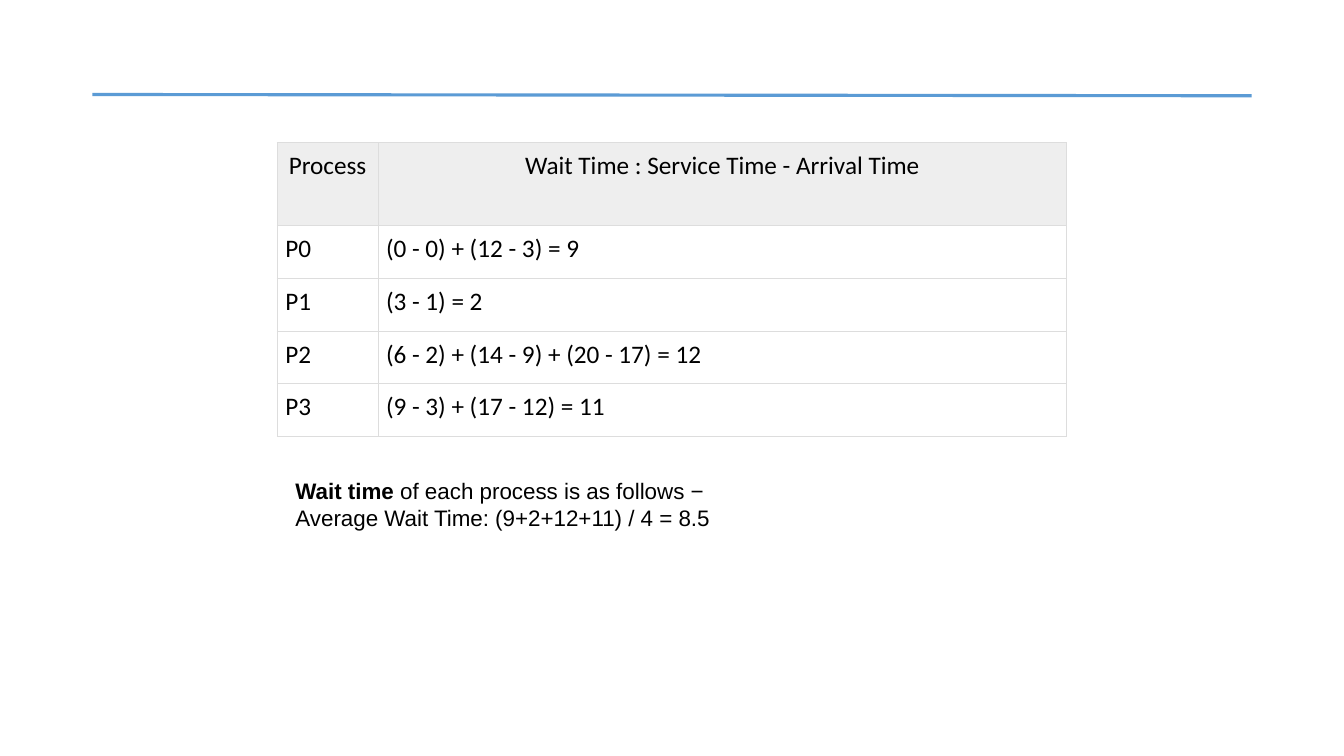
import lxml.etree
import pptx
import pptx.dml.color
import pptx.enum.shapes
import pptx.enum.text
import pptx.oxml.ns
import pptx.util

COLORS = {
    "rule": "5B9BD5",
    "text": "000000",
    "header": "EEEEEE",
    "border": "DDDDDD",
}
COLUMNS, ROWS = 160, 90
ALIGN = pptx.enum.text.PP_ALIGN


def rgb(name):
    return pptx.dml.color.RGBColor.from_string(COLORS[name])


def add_xml(parent, tag, **attrs):
    return lxml.etree.SubElement(parent, pptx.oxml.ns.qn(tag), attrs)


class SlideBuilder:
    table_font = ("Calibri", 18)
    note_font = ("Arial", 16)
    cell_margin = pptx.util.Inches(0.08)

    def __init__(self, prs):
        self.unit_x = prs.slide_width / COLUMNS
        self.unit_y = prs.slide_height / ROWS
        self.slide = prs.slides.add_slide(prs.slide_layouts[6])

    def x(self, columns):
        return round(columns * self.unit_x)

    def y(self, rows):
        return round(rows * self.unit_y)

    def run(self, p, text, font, bold=False):
        r = p.add_run()
        r.text = text
        r.font.name, size = font
        r.font.size = pptx.util.Pt(size)
        r.font.bold = bold
        r.font.color.rgb = rgb("text")

    def line(self, x1, y1, x2, y2, width):
        sp = self.slide.shapes.add_connector(
            pptx.enum.shapes.MSO_CONNECTOR.STRAIGHT,
            self.x(x1), self.y(y1), self.x(x2), self.y(y2))
        sp.line.color.rgb = rgb("rule")
        sp.line.width = pptx.util.Pt(width)
        add_xml(sp._element.spPr, "a:effectLst")

    def borders(self, cell):
        tc_pr = cell._tc.get_or_add_tcPr()
        for index, side in enumerate(("a:lnL", "a:lnR", "a:lnT", "a:lnB")):
            ln = add_xml(tc_pr, side, w=str(pptx.util.Pt(0.75)))
            add_xml(add_xml(ln, "a:solidFill"), "a:srgbClr", val=COLORS["border"])
            tc_pr.insert(index, ln)

    def cell(self, cell, text, header):
        cell.margin_left = cell.margin_right = self.cell_margin
        cell.margin_top = cell.margin_bottom = self.cell_margin
        if header:
            cell.fill.solid()
            cell.fill.fore_color.rgb = rgb("header")
        else:
            cell.fill.background()
        self.borders(cell)
        p = cell.text_frame.paragraphs[0]
        p.alignment = ALIGN.CENTER if header else ALIGN.LEFT
        self.run(p, text, self.table_font)

    def table(self, left, top, widths, heights, data):
        table = self.slide.shapes.add_table(
            len(heights), len(widths), self.x(left), self.y(top),
            self.x(sum(widths)), self.y(sum(heights))).table
        table.first_row = table.horz_banding = False
        for column, width in zip(table.columns, widths):
            column.width = self.x(width)
        for i, (height, texts) in enumerate(zip(heights, data)):
            table.rows[i].height = self.y(height)
            for j, text in enumerate(texts):
                self.cell(table.cell(i, j), text, header=i == 0)

    def text(self, left, top, width, height, paragraphs):
        sp = self.slide.shapes.add_textbox(
            self.x(left), self.y(top), self.x(width), self.y(height))
        tf = sp.text_frame
        tf.word_wrap = True
        tf.auto_size = pptx.enum.text.MSO_AUTO_SIZE.SHAPE_TO_FIT_TEXT
        tf.vertical_anchor = pptx.enum.text.MSO_ANCHOR.MIDDLE
        for i, runs in enumerate(paragraphs):
            p = tf.add_paragraph() if i else tf.paragraphs[0]
            p.alignment = ALIGN.JUSTIFY
            for text, bold in runs:
                self.run(p, text, self.note_font, bold)


def main():
    prs = pptx.Presentation()
    prs.slide_width = pptx.util.Inches(13.33)
    prs.slide_height = pptx.util.Inches(7.5)
    s = SlideBuilder(prs)
    s.line(11, 11.25, 149, 11.4, 2.25)
    wait_times = [
        ("Process", "Wait Time : Service Time - Arrival Time"),
        ("P0", "(0 - 0) + (12 - 3) = 9"),
        ("P1", "(3 - 1) = 2"),
        ("P2", "(6 - 2) + (14 - 9) + (20 - 17) = 12"),
        ("P3", "(9 - 3) + (17 - 12) = 11"),
    ]
    s.table(33, 17, [12, 82], [9.9] + [6.27] * 4, wait_times)
    s.text(34, 56.2, 79.6, 7.7, [
        [("Wait time", True), (" of each process is as follows −", False)],
        [("Average Wait Time: (9+2+12+11) / 4 = 8.5", False)],
    ])
    prs.save("out.pptx")


if __name__ == "__main__":
    main()
